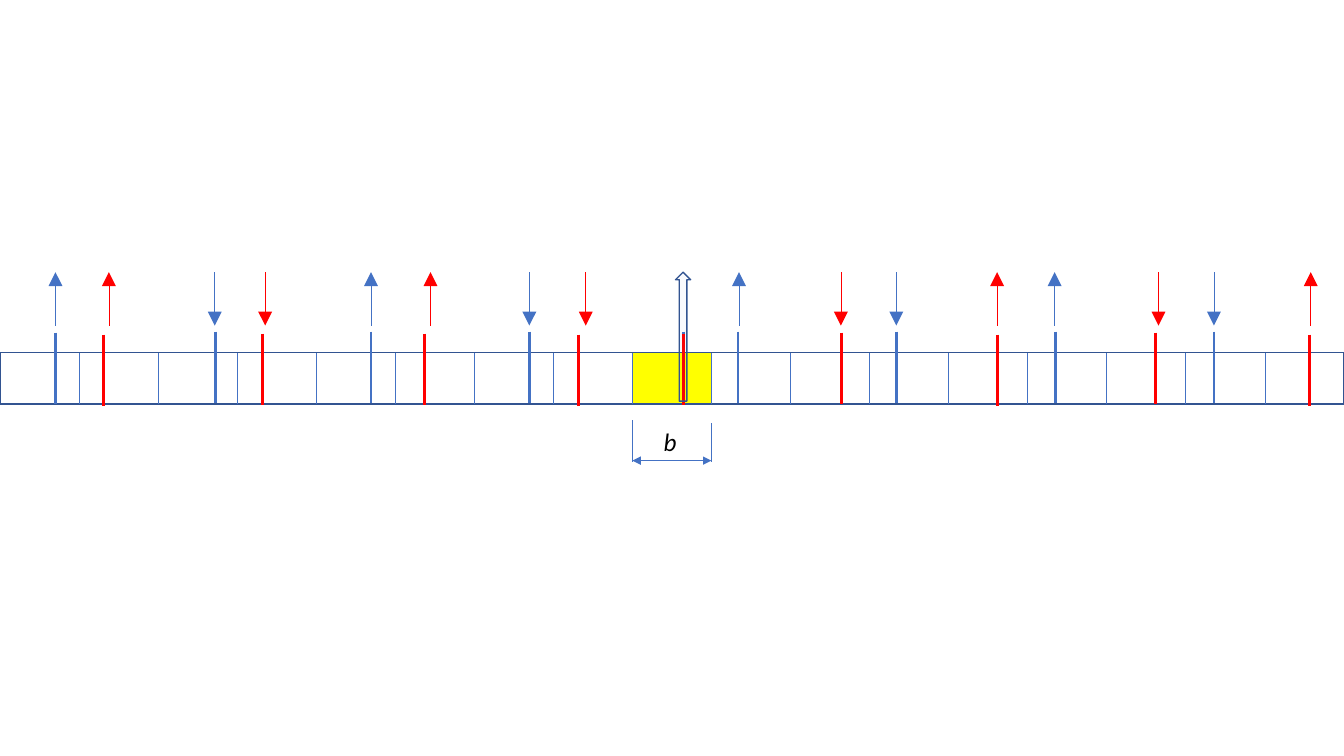
from dataclasses import dataclass
from typing import NamedTuple

from lxml import etree
from pptx import Presentation
from pptx import util as u
from pptx.dml import color
from pptx.enum import shapes, text
from pptx.oxml import ns


@dataclass(frozen=True)
class Theme:
    """Colours, type and line weights of the slide."""
    blue: str = "4472C4"
    outline: str = "325491"
    red: str = "FF0000"
    yellow: str = "FFFF00"
    black: str = "000000"
    font: str = "Calibri"
    label_size: float = 18
    hairline: float = 0.5
    border: float = 1
    bold: float = 2


class Box(NamedTuple):
    """Region of the slide in inches."""
    left: float
    top: float
    width: float
    height: float


class Force(NamedTuple):
    """Mark position, arrow position, direction and mark rise above the strip."""
    mark: float
    arrow: float
    up: bool
    rise: float = 0.21


THEME = Theme()
CELLS = 17
MARK_HEIGHT = 0.71
CENTRE = 6.78

BLUE_FORCES = [
    Force(0.55, 0.55, True, 0.2), Force(2.14, 2.13, False),
    Force(3.68, 3.68, True), Force(5.25, 5.25, False),
    Force(7.32, 7.33, True), Force(8.89, 8.89, False),
    Force(10.47, 10.46, True), Force(12.04, 12.04, False),
]
RED_FORCES = [
    Force(1.03, 1.08, True, 0.18), Force(2.6, 2.63, False, 0.19),
    Force(4.21, 4.27, True, 0.19), Force(5.74, 5.81, False, 0.18),
    Force(8.35, 8.34, False, 0.2), Force(9.89, 9.89, True, 0.18),
    Force(11.46, 11.49, False, 0.2), Force(12.99, 13, True, 0.18),
]


def rgb(value):
    """Return a colour object for a hex value."""
    return color.RGBColor.from_string(value)


def add_line(slide, start, end, hue, weight, heads=(), head_size="med"):
    """Draw a straight line with optional arrowheads."""
    line = slide.shapes.add_connector(
        shapes.MSO_CONNECTOR.STRAIGHT, *map(u.Inches, (*start, *end)))
    line.line.color.rgb = rgb(hue)
    line.line.width = u.Pt(weight)
    outline = line.line._get_or_add_ln()
    for end_name in heads:
        etree.SubElement(outline, ns.qn(f"a:{end_name}"),
                         type="triangle", w=head_size, len=head_size)
    etree.SubElement(line._element.spPr, ns.qn("a:effectLst"))


def add_outline(slide, kind, box, fill=None):
    """Draw a bordered preset shape in the given box."""
    shape = slide.shapes.add_shape(kind, *map(u.Inches, box))
    shape.shadow.inherit = False
    shape.line.color.rgb = rgb(THEME.outline)
    shape.line.width = u.Pt(THEME.border)
    if fill:
        shape.fill.solid()
        shape.fill.fore_color.rgb = rgb(fill)
    else:
        shape.fill.background()
    return shape


def draw_strip(slide, strip, cell):
    """Draw the strip, its highlighted cell and the cell dividers."""
    add_outline(slide, shapes.MSO_SHAPE.RECTANGLE, cell, THEME.yellow)
    add_outline(slide, shapes.MSO_SHAPE.RECTANGLE, strip)
    for index in range(1, CELLS):
        x = strip.left + index * strip.width / CELLS
        add_line(slide, (x, strip.top), (x, strip.top + strip.height),
                 THEME.blue, THEME.hairline)


def draw_marks(slide, strip, forces, hue, centre_rise):
    """Draw the bold marks crossing the strip, the central one included."""
    for force in [*forces, Force(CENTRE, CENTRE, True, centre_rise)]:
        x, top = strip.left + force.mark, strip.top - force.rise
        add_line(slide, (x, top), (x, top + MARK_HEIGHT), hue, THEME.bold)


def draw_arrows(slide, band, forces, hue):
    """Draw one arrow per force across the height of the band."""
    for force in forces:
        x = band.left + force.arrow
        start, end = (x, band.top), (x, band.top + band.height)
        if force.up:
            start, end = end, start
        add_line(slide, start, end, hue, THEME.hairline, ["tailEnd"], "lg")


def draw_resultant(slide, box):
    """Draw the hollow central arrow with its faint fill."""
    arrow = add_outline(slide, shapes.MSO_SHAPE.UP_ARROW, box, THEME.blue)
    tint = arrow._element.spPr.find(f".//{ns.qn('a:srgbClr')}")
    etree.SubElement(tint, ns.qn("a:alpha"), val="3000")


def draw_dimension(slide, box):
    """Draw the cell width dimension and its label."""
    right, bottom = box.left + box.width, box.top + box.height
    for x, top in ((box.left, box.top), (right, box.top + 0.03)):
        add_line(slide, (x, top), (x, bottom), THEME.blue, THEME.hairline)
    level = bottom - 0.01
    add_line(slide, (box.left, level), (right, level), THEME.blue,
             THEME.hairline, ["headEnd", "tailEnd"])
    label = slide.shapes.add_textbox(
        *map(u.Inches, (box.left + 0.21, box.top + 0.01, 0.34, 0.4)))
    frame = label.text_frame
    frame.word_wrap = False
    frame.auto_size = text.MSO_AUTO_SIZE.SHAPE_TO_FIT_TEXT
    paragraph = frame.paragraphs[0]
    paragraph.text = "b"
    paragraph.font.name = THEME.font
    paragraph.font.size = u.Pt(THEME.label_size)
    paragraph.font.italic = True
    paragraph.font.color.rgb = rgb(THEME.black)


def main():
    """Build the slide and save it."""
    deck = Presentation()
    deck.slide_width, deck.slide_height = u.Inches(13.33), u.Inches(7.5)
    slide = deck.slides.add_slide(deck.slide_layouts[6])
    strip = Box(0, 3.5, 13.33, 0.51)
    pitch = strip.width / CELLS
    cell = Box(strip.left + CELLS // 2 * pitch, strip.top, pitch, strip.height)
    band = Box(strip.left, 2.7, strip.width, 0.53)
    families = ((BLUE_FORCES, THEME.blue, 0.21), (RED_FORCES, THEME.red, 0.19))

    draw_strip(slide, strip, cell)
    for forces, hue, centre_rise in families:
        draw_marks(slide, strip, forces, hue, centre_rise)
    for forces, hue, _ in families:
        draw_arrows(slide, band, forces, hue)
    draw_resultant(slide, Box(CENTRE - 0.08, band.top, 0.15, 1.28))
    draw_dimension(slide, Box(cell.left, 4.17, pitch, 0.41))
    deck.save("out.pptx")


if __name__ == "__main__":
    main()
